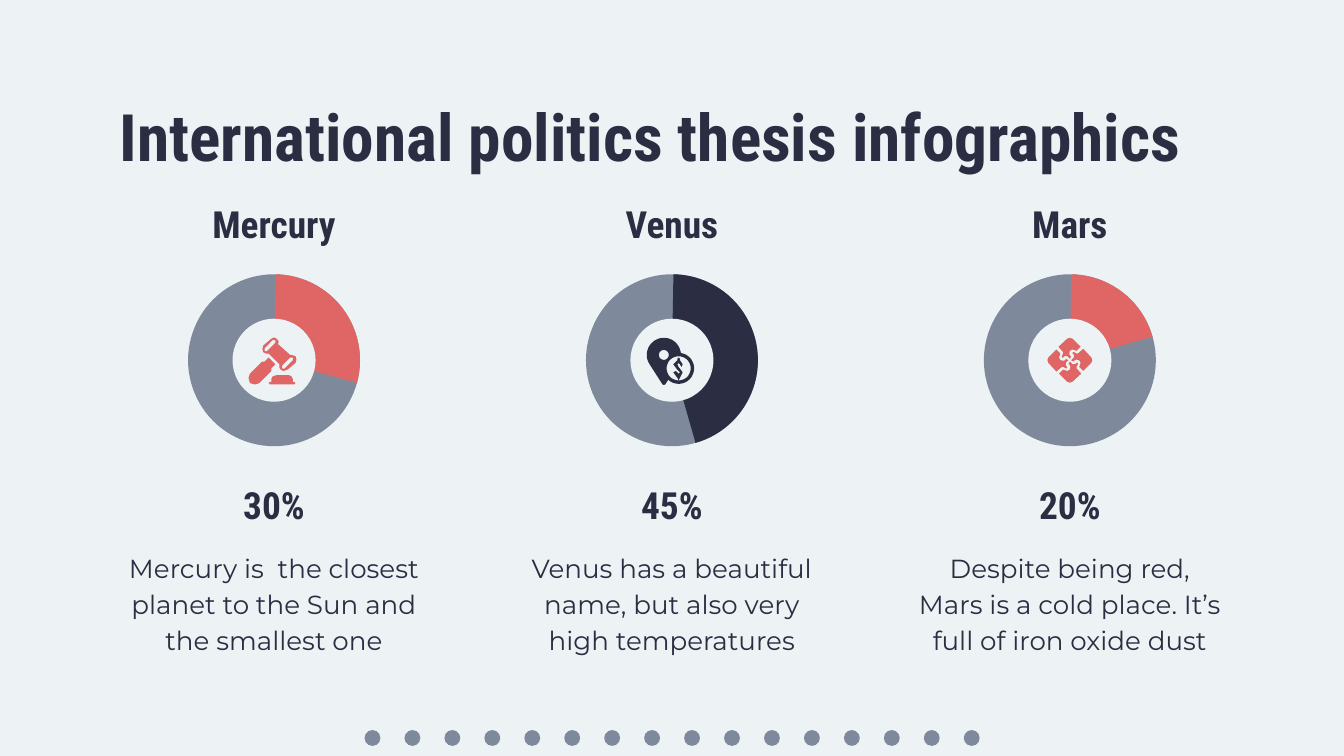
"""Build a slide of three ring diagrams with headings, shares and captions."""
from math import cos, radians, sin

from pptx import Presentation
from pptx import util as u
from pptx.dml import color
from pptx.enum import shapes, text

COLORS = {"paper": "EDF2F4", "slate": "7E899C", "navy": "2B2D42", "coral": "E06666"}
HEADING, BODY = "Roboto Condensed", "Montserrat"
COLUMN_WIDTH, FIRST_CENTER, COLUMN_STEP = 6.35, 5.18, 7.52
RING_Y, RING_SIZE, HUB_SIZE = 6.81, 3.25, 1.57
PIE_START = 271.02
ICON_UNIT = 0.0254
ICON_DETAIL = 10


def arc(center_x, center_y, radius, start=0, end=360, steps=32):
    """Return points along a clockwise arc, with angles in degrees."""
    angles = [radians(start + (end - start) * step / steps) for step in range(steps + 1)]
    return [(center_x + radius * cos(a), center_y + radius * sin(a)) for a in angles]


def quarter_turns(points):
    """Return the outline in four positions, each a quarter turn further."""
    turns = [points]
    for _ in range(3):
        turns.append([(-y, x) for x, y in turns[-1]])
    return turns


SLOT = [(0, -15), (1, -15), (1, -13), (-5, -7), (-6, -6.6), (-7, -7), (-7, -9), (-1, -15)]
GAVEL = [
    [(0, -17), (-2, -16), (-8, -11), (-8.7, -8.5), (-8, -6), (-6, -5), (-4, -5),
     (4, 3), (4, 5.5), (5, 7), (7, 8), (10, 7), (16, 2), (16.7, -0.5), (16, -3),
     (13, -4), (12, -4), (3, -12), (3.5, -14), (2, -16)],
    SLOT,
    [(x + 13, y + 13) for x, y in SLOT],
    [(-4, -2), (-7, 1), (-9, 1), (-18, 10), (-19, 13), (-18, 17), (-14, 18),
     (-11, 17), (-2, 8), (-2, 6), (1, 3)],
    [(2, 11), (-1, 12), (-2, 14), (-2, 16), (-3, 16), (-4, 17), (-3, 18), (15, 18),
     (16, 17), (15, 16), (14, 16), (14, 14), (13, 12), (11, 11)],
]
PIN = [
    arc(-6, -4, 12.7, 145, 356) + arc(5, 6, 11.5, -80, 132) + [(-5, 18), (-6, 18.3), (-7, 18)],
    arc(-6, -4, 3.7),
    arc(5, 6, 9),
    [(5, -2), (4, -1), (4, 0), (1, 3), (4, 7), (6, 9), (5, 10), (4, 9), (3, 8),
     (1, 9), (4, 13), (5, 15), (6, 13), (8, 9), (5, 5), (4, 3), (5, 2), (6, 3),
     (7, 5), (8, 3), (6, 0), (6, -1)],
]
PUZZLE = quarter_turns([
    (-10, -8), (-16, -2), (-16.7, 0), (-16, 2), (-10, 8.5), (-6, 5), (-5, 5),
    (-3, 6), (-2, 6), (-2, 5), (-3, 4), (-3, 2), (-1, 0), (-3, -1), (-3.5, 0),
    (-5, 0.4), (-7, 0), (-8, -2), (-7, -5)])

TOPICS = [
    ("Mercury", "30%", "Mercury is  the closest planet to the Sun and the smallest one",
     15.21, "coral", GAVEL),
    ("Venus", "45%", "Venus has a beautiful name, but also very high temperatures",
     74.07, "navy", PIN),
    ("Mars", "20%", "Despite being red, Mars is a cold place. It’s full of iron oxide dust",
     344.13, "coral", PUZZLE),
]


def rgb(name):
    """Return the named colour."""
    return color.RGBColor.from_string(COLORS[name])


def paint(shape, fill):
    """Give a shape a plain fill with no line or shadow."""
    shape.shadow.inherit = False
    shape.fill.solid()
    shape.fill.fore_color.rgb = rgb(fill)
    shape.line.fill.background()


def add_text(page, words, left, top, width, height, *, size, font=HEADING, bold=True,
             align=text.PP_ALIGN.CENTER, anchor=text.MSO_ANCHOR.TOP,
             insets=(0.25, 0.25, 0.25, 0.25), spacing=None):
    """Add a text box holding one formatted paragraph."""
    box = page.shapes.add_textbox(u.Cm(left), u.Cm(top), u.Cm(width), u.Cm(height))
    frame = box.text_frame
    frame.word_wrap = True
    frame.vertical_anchor = anchor
    frame.margin_left, frame.margin_top, frame.margin_right, frame.margin_bottom = map(u.Cm, insets)
    para = frame.paragraphs[0]
    para.alignment = align
    if spacing:
        para.line_spacing = spacing
    span = para.add_run()
    span.text = words
    span.font.name, span.font.size, span.font.bold = font, u.Pt(size), bold
    span.font.color.rgb = rgb("navy")


def add_round(page, center_x, center_y, size, fill, kind=shapes.MSO_SHAPE.OVAL):
    """Add a circle or pie around a centre point."""
    shape = page.shapes.add_shape(kind, u.Cm(center_x - size / 2), u.Cm(center_y - size / 2),
                                  u.Cm(size), u.Cm(size))
    paint(shape, fill)
    return shape


def add_icon(page, contours, center_x, center_y, fill):
    """Add a freeform icon around a centre point."""
    scaled = [[(x * ICON_DETAIL, y * ICON_DETAIL) for x, y in contour] for contour in contours]
    builder = page.shapes.build_freeform(*scaled[0][0], scale=1 / (1 / u.Cm(ICON_UNIT / ICON_DETAIL)))
    for index, contour in enumerate(scaled):
        if index:
            builder.move_to(*contour[0])
        builder.add_line_segments(contour[1:], close=True)
    paint(builder.convert_to_shape(u.Cm(center_x), u.Cm(center_y)), fill)


def add_ring(page, center, end, accent, icon):
    """Add a ring with a highlighted share and an icon in its hub."""
    add_round(page, center, RING_Y, RING_SIZE, "slate")
    share = add_round(page, center, RING_Y, RING_SIZE, accent, shapes.MSO_SHAPE.PIE)
    for index, angle in enumerate((PIE_START, end)):
        share.adjustments[index] = angle * 0.6
    add_round(page, center, RING_Y, HUB_SIZE, "paper")
    add_icon(page, icon, center, RING_Y, accent)


def add_topic(page, center, name, percent, caption, end, accent, icon):
    """Add one column: heading, ring, share and caption."""
    left = center - COLUMN_WIDTH / 2
    for words, top in ((name, 3.53), (percent, 8.84)):
        add_text(page, words, left, top, COLUMN_WIDTH, 1.27, size=20,
                 anchor=text.MSO_ANCHOR.MIDDLE, insets=(0, 0.13, 0, 0))
    add_text(page, caption, left, 10.11, COLUMN_WIDTH, 2.29, size=14, font=BODY,
             bold=False, spacing=1.15)
    add_ring(page, center, end, accent, icon)


def main():
    """Build and save the deck."""
    deck = Presentation()
    deck.slide_width, deck.slide_height = u.Cm(25.4), u.Cm(14.29)
    page = deck.slides.add_slide(deck.slide_layouts[6])
    page.background.fill.solid()
    page.background.fill.fore_color.rgb = rgb("paper")
    for index in range(16):
        add_round(page, 7.04 + index * 0.755, 13.95, 0.3, "slate")
    add_text(page, "International politics thesis infographics", 2.01, 1.57, 21.39, 1.57,
             size=35, align=text.PP_ALIGN.LEFT)
    for index, topic in enumerate(TOPICS):
        add_topic(page, FIRST_CENTER + index * COLUMN_STEP, *topic)
    deck.save("out.pptx")


if __name__ == "__main__":
    main()
